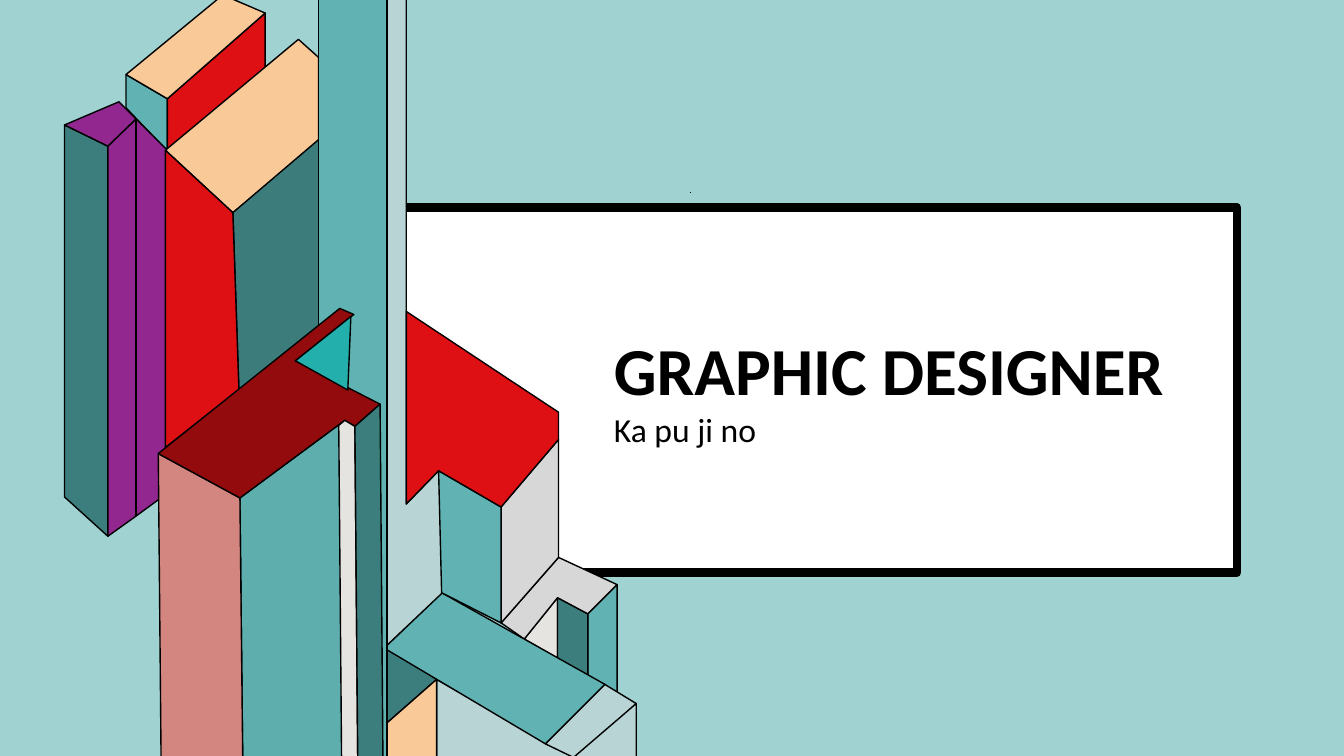
from lxml import etree
from pptx import Presentation
from pptx.dml.color import RGBColor
from pptx.enum.shapes import MSO_CONNECTOR, MSO_SHAPE
from pptx.enum.text import MSO_AUTO_SIZE, PP_ALIGN
from pptx.oxml.ns import qn
from pptx.util import Inches, Pt

RECTANGLE = MSO_SHAPE.RECTANGLE
STRAIGHT = MSO_CONNECTOR.STRAIGHT
FIT_SHAPE = MSO_AUTO_SIZE.SHAPE_TO_FIT_TEXT
LEFT = PP_ALIGN.LEFT

COLORS = {
    "background": "9FD2D1",
    "white": "FFFFFF",
    "black": "000000",
    "teal": "61B3B3",
    "mid teal": "5EAEAE",
    "dark teal": "3C7E7D",
    "deep teal": "3C7C7B",
    "bright teal": "23B0AD",
    "pale teal": "B8D4D4",
    "red": "DE1014",
    "maroon": "940B0E",
    "pink": "D38580",
    "peach": "F9C997",
    "purple": "92278F",
    "light gray": "D7D7D7",
    "warm gray": "E5E4E0",
}

# Upright edges of the blocks in inches: x, top, bottom
SKY, GROUND = -0.16, 7.53
UPRIGHTS = {
    "kiosk left": (1.25, 0.74, 1.07),
    "kiosk fold": (1.66, 0.98, 1.5),
    "kiosk right": (2.63, 0.13, 0.73),
    "shaft left": (0.64, 1.24, 4.93),
    "shaft fold": (1.07, 1.45, 5.32),
    "shaft ridge": (1.35, 1.18, 5.12),
    "shaft right": (1.65, 1.48, 4.9),
    "slab left": (1.64, 1.49, 4.44),
    "slab fold": (2.31, 2.11, 3.87),
    "slab right": (3.26, 1.3, 3.19),
    "tower left": (3.16, SKY, 7.9),
    "tower fold": (3.84, SKY, 7.9),
    "house left": (4.35, 4.67, 5.88),
    "house fold": (4.97, 5.03, 6.18),
    "house right": (5.54, 4.36, 5.53),
    "pier left": (5.53, 5.93, 6.53),
    "pier fold": (5.83, 6.09, 6.73),
    "pier right": (6.12, 5.8, 6.9),
    "ledge left": (3.84, 7.17, GROUND),
    "ledge fold": (4.33, 6.74, GROUND),
    "ledge right": (5.72, GROUND, GROUND),
    "block left": (5.67, GROUND, GROUND),
    "block right": (6.31, 6.98, GROUND),
}
FRONT_BASE, FRONT_LEAN = 7.75, 0.03
FRONT_TOPS = {
    "front left": (1.57, 4.5),
    "front fold": (2.38, 4.94),
    "slot left": (3.36, 4.22),
    "slot peak": (3.42, 4.17),
    "slot right": (3.52, 4.23),
    "front right": (3.77, 4.01),
}
LEANS = {"slab fold": 0.06, "house left": 0.03}

tops = {name: (x, top) for name, (x, top, bottom) in UPRIGHTS.items()}
bottoms = {name: (x + LEANS.get(name, 0), bottom)
           for name, (x, top, bottom) in UPRIGHTS.items()}
tops.update(FRONT_TOPS)
bottoms.update({name: (x + FRONT_LEAN, FRONT_BASE)
                for name, (x, top) in FRONT_TOPS.items()})

stair_corner = (5.2, 6.34)
deck_front = (5.41, 7.38)
deck_right = (6, 6.79)
tower_foot = (4.03, 5)
skylight_corner = (2.93, 3.58)


def wall(*names):
    """Return the corners of a wall that spans the named uprights."""
    return ([tops[name] for name in names]
            + [bottoms[name] for name in reversed(names)])


def paint(shape, color, line_width):
    shape.shadow.inherit = False
    shape.fill.solid()
    shape.fill.fore_color.rgb = RGBColor.from_string(COLORS[color])
    shape.line.color.rgb = RGBColor.from_string(COLORS["black"])
    shape.line.width = Pt(line_width)


# Faces from back to front
FACES = [
    ("teal", wall("kiosk left", "kiosk fold")),
    ("dark teal", wall("shaft left", "shaft fold")),
    ("dark teal", [tops["ledge fold"], tops["ledge left"], (3.84, 6.42)]),
    ("warm gray", [tops["pier left"], stair_corner, bottoms["pier left"]]),
    ("pale teal", wall("ledge fold", "ledge right")),
    ("teal", wall("pier fold", "pier right")),
    ("dark teal", wall("pier left", "pier fold")),
    ("red", wall("kiosk fold", "kiosk right")),
    ("peach", [tops["slab left"], (2.96, 0.39), (3.16, 0.57), (3.16, 1.41),
               tops["slab fold"]]),
    ("light gray", [bottoms["house fold"], bottoms["house right"],
                    tops["pier right"], tops["pier fold"],
                    tops["pier left"], stair_corner]),
    ("teal", [(3.81, 6.43), deck_front, deck_right, bottoms["house left"]]),
    ("deep teal", wall("slab fold", "slab right")),
    ("pale teal", [(4.03, SKY), tower_foot, (4.4, 4.62), (4.4, 5.87),
                   (3.83, 6.41), (3.83, SKY)]),
    ("purple", wall("shaft fold", "shaft ridge", "shaft right")),
    ("teal", wall("tower left", "tower fold")),
    ("red", wall("slab left", "slab fold")),
    ("light gray", wall("house fold", "house right")),
    ("mid teal", wall("front fold", "slot peak")),
    ("pink", wall("front left", "front fold")),
    ("maroon", [(3.37, 3.06), (3.51, 3.12), skylight_corner,
                tops["front right"], tops["slot right"], tops["slot peak"],
                tops["front fold"], tops["front left"]]),
    ("warm gray", wall("slot left", "slot peak", "slot right")),
    ("dark teal", wall("slot right", "front right")),
    ("bright teal", [(3.48, 3.14), (3.45, 3.87), skylight_corner]),
    ("teal", wall("house left", "house fold")),
    ("red", [tops["house fold"], tops["house right"], (5.54, 4.09),
             (4.03, 3.09), tower_foot, tops["house left"]]),
    ("pale teal", [deck_right, tops["block right"], tops["ledge right"],
                   deck_front]),
    ("pale teal", wall("block left", "block right")),
    ("peach", wall("ledge left", "ledge fold")),
    ("peach", [tops["kiosk left"], (2.21, -0.05), tops["kiosk right"],
               tops["kiosk fold"]]),
    ("purple", [tops["shaft ridge"], (1.18, 1.01), tops["shaft left"],
                tops["shaft fold"]]),
]
EDGES = [  # start, end, width in points
    ((6.85, 1.9), (6.85, 1.91), 0.5),
    (tops["shaft ridge"], bottoms["shaft ridge"], 1.5),
]
TITLE_LINES = [
    ("GRAPHIC DESIGNER", {"size": Pt(48), "bold": True}),
    ("Ka pu ji no", {"size": Pt(24), "bold": False}),
]

deck = Presentation()
deck.slide_width = Inches(13.33)
deck.slide_height = Inches(7.5)
page = deck.slides.add_slide(deck.slide_layouts[6])
page.background.fill.solid()
page.background.fill.fore_color.rgb = RGBColor.from_string(COLORS["background"])

frame = page.shapes.add_shape(
    RECTANGLE, Inches(3.46), Inches(2.06), Inches(8.81), Inches(3.62))
paint(frame, "white", 6)

for color, corners in FACES:
    points = [(Inches(x), Inches(y)) for x, y in corners]
    builder = page.shapes.build_freeform(*points[0])
    builder.add_line_segments(points[1:], close=True)
    paint(builder.convert_to_shape(), color, 1)

for start, end, width in EDGES:
    ends = [Inches(value) for value in start + end]
    edge = page.shapes.add_connector(STRAIGHT, *ends)
    edge.line.color.rgb = RGBColor.from_string(COLORS["black"])
    edge.line.width = Pt(width)
    etree.SubElement(edge._element.spPr, qn("a:effectLst"))

title_box = page.shapes.add_textbox(
    Inches(5.99), Inches(3.21), Inches(5.71), Inches(1.31))
text_frame = title_box.text_frame
text_frame.word_wrap = False
text_frame.auto_size = FIT_SHAPE
for index, (text, font_format) in enumerate(TITLE_LINES):
    para = text_frame.add_paragraph() if index else text_frame.paragraphs[0]
    para.alignment = LEFT
    span = para.add_run()
    span.text = text
    span.font.name = "Calibri"
    span.font.color.rgb = RGBColor.from_string(COLORS["black"])
    for name, value in font_format.items():
        setattr(span.font, name, value)

deck.save("out.pptx")
